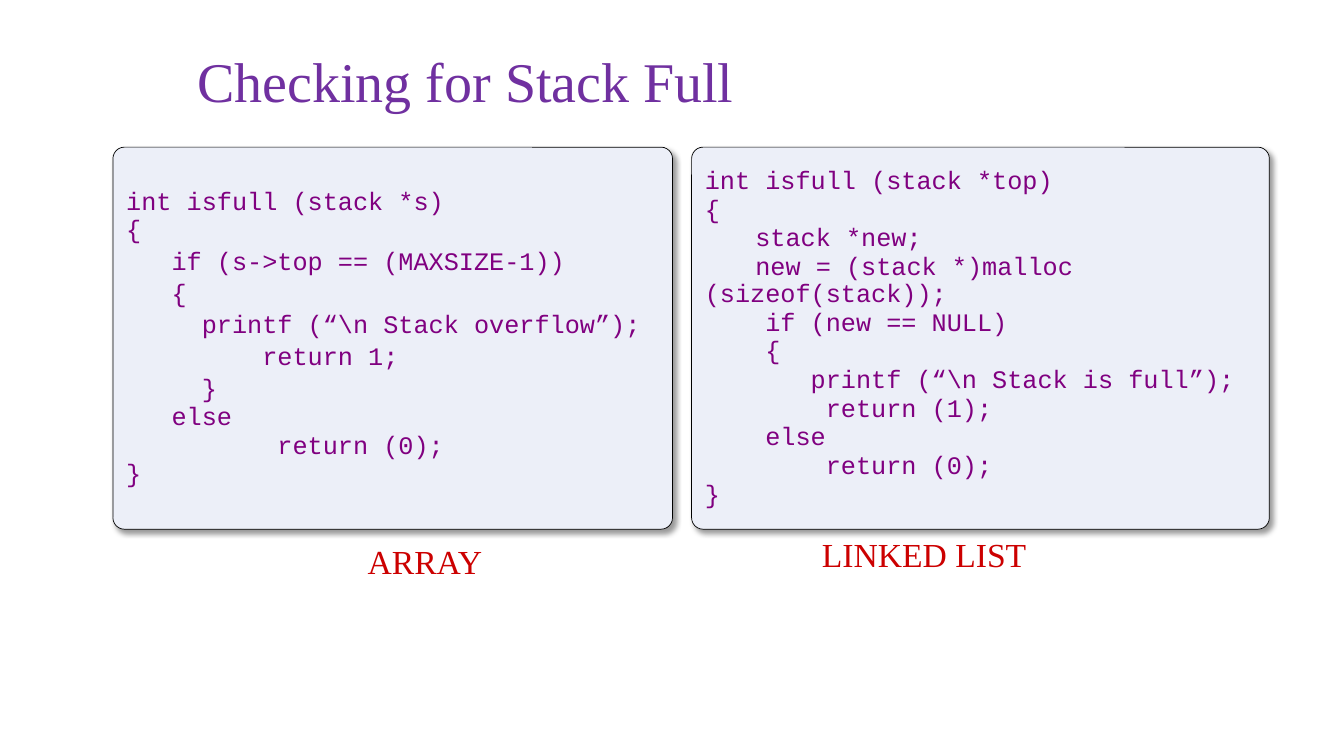
from lxml.etree import SubElement
from pptx import Presentation
from pptx.dml.color import RGBColor
from pptx.enum.shapes import MSO_SHAPE as Shape
from pptx.enum.text import MSO_ANCHOR as Anchor, PP_ALIGN as Align
from pptx.oxml.ns import qn
from pptx.util import Emu, Pt

EMU_PER_PX = 9144
VIOLET = RGBColor(0x70, 0x30, 0xA0)
PURPLE = RGBColor(0x80, 0x00, 0x80)
RED = RGBColor(0xCC, 0x00, 0x00)
PALE_BLUE = RGBColor(0xEC, 0xEF, 0xF8)
BLACK = RGBColor(0x00, 0x00, 0x00)

ARRAY_CODE = """int isfull (stack *s)
{
   if (s->top == (MAXSIZE-1))
   {
     printf (“\\n Stack overflow”);
         return 1;
     }
   else
          return (0);
}"""

LIST_CODE = """int isfull (stack *top)
{
   \tstack *new;
\tnew = (stack *)malloc (sizeof(stack));
    if (new == NULL)
    {
       printf (“\\n Stack is full”);
        return (1);
    else
        return (0);
}"""


def px(length):
    return Emu(length * EMU_PER_PX)


class CodeSlide:
    """Draws headings, code panels and captions on one slide."""

    serif = "Times New Roman"
    mono = "Courier New"

    def __init__(self, deck):
        self.slide = deck.slides.add_slide(deck.slide_layouts[6])

    def set_text(self, frame, text, font, size, color, align=Align.LEFT):
        frame.word_wrap = True
        frame.text = text
        for line in frame.paragraphs:
            line.alignment = align
            for run in line.runs:
                run.font.name = font
                run.font.size = Pt(size)
                run.font.color.rgb = color

    def label(self, box, text, size, color, align):
        frame = self.slide.shapes.add_textbox(*map(px, box)).text_frame
        self.set_text(frame, text, self.serif, size, color, align)
        return frame

    def title(self, box, text):
        frame = self.label(box, text, 40, VIOLET, Align.LEFT)
        frame.vertical_anchor = Anchor.MIDDLE
        frame.paragraphs[0].line_spacing = 0.9

    def caption(self, box, text):
        self.label(box, text, 24, RED, Align.CENTER)

    def code(self, box, text, loose_lines=()):
        panel = self.slide.shapes.add_shape(Shape.ROUNDED_RECTANGLE, *map(px, box))
        panel.adjustments[0] = 0.03
        panel.fill.solid()
        panel.fill.fore_color.rgb = PALE_BLUE
        panel.line.color.rgb = BLACK
        panel.line.width = Pt(0.5)
        self.drop_shadow(panel)
        panel.text_frame.vertical_anchor = Anchor.MIDDLE
        self.set_text(panel.text_frame, text, self.mono, 18, PURPLE)
        for index, line in enumerate(panel.text_frame.paragraphs):
            line.line_spacing = 1.0 if index in loose_lines else 0.9
            if index:
                line.space_before = Pt(1)

    def drop_shadow(self, panel):
        panel.shadow.inherit = False
        effects = panel.element.spPr.find(qn("a:effectLst"))
        shadow = SubElement(effects, qn("a:outerShdw"), blurRad=str(Pt(4)),
                            dist=str(Pt(3)), dir="2700000", algn="tl", rotWithShape="0")
        tint = SubElement(shadow, qn("a:srgbClr"), val=str(BLACK))
        SubElement(tint, qn("a:alpha"), val="40000")


def main():
    deck = Presentation()
    deck.slide_width, deck.slide_height = px(1333), px(750)
    page = CodeSlide(deck)
    page.title((186, 21, 953, 125), "Checking for Stack Full")
    page.code((112, 146, 555, 379), ARRAY_CODE, loose_lines=range(2, 7))
    page.caption((330, 532, 183, 50), "ARRAY")
    page.caption((790, 525, 253, 50), "LINKED LIST")
    page.code((686, 146, 573, 379), LIST_CODE)
    deck.save("out.pptx")


if __name__ == "__main__":
    main()
